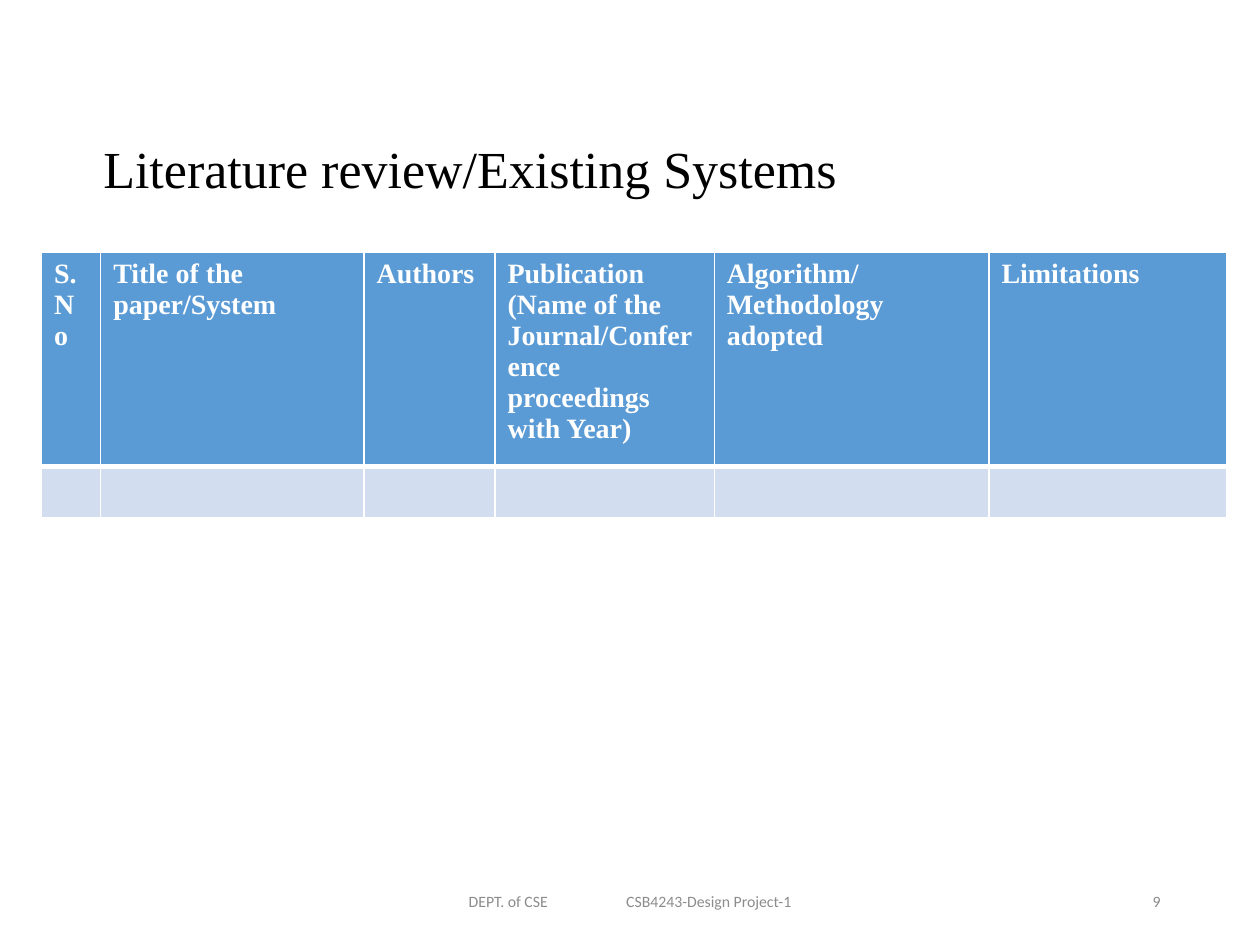
from lxml.etree import SubElement
from pptx import Presentation
from pptx.dml.color import RGBColor
from pptx.enum.text import MSO_ANCHOR as Anchor, PP_ALIGN as Align
from pptx.oxml import parse_xml
from pptx.oxml.ns import nsdecls, qn
from pptx.util import Inches, Pt

COLORS = {
    "title": "000000",
    "header": "5B9BD5",
    "body": "D2DEEF",
    "white": "FFFFFF",
    "footer": "8C8C8C",
    "number": "898989",
}
SERIF, SANS = "Times New Roman", "Calibri"
HEADINGS = [
    ("S.No", 0.47),
    ("Title of the paper/System", 2.09),
    ("Authors", 1.04),
    ("Publication (Name of the Journal/Conference proceedings with Year)", 1.74),
    ("Algorithm/Methodology adopted", 2.18),
    ("Limitations", 1.89),
]
ROW_HEIGHTS = [1.7, 0.41]


def add_span(para, text, size, font, color, bold=False):
    span = para.add_run()
    span.text = text
    span.font.size = Pt(size)
    span.font.name = font
    span.font.bold = bold
    span.font.color.rgb = RGBColor.from_string(COLORS[color])


def place_title(page, left, top, width, height):
    title = page.shapes.title
    title.left, title.top = Inches(left), Inches(top)
    title.width, title.height = Inches(width), Inches(height)
    frame = title.text_frame
    frame.word_wrap = True
    frame.vertical_anchor = Anchor.MIDDLE
    para = frame.paragraphs[0]
    para.alignment = Align.LEFT
    para.line_spacing = 0.9
    add_span(para, "Literature review/Existing Systems", 29.7, SERIF, "title")


def set_borders(cell, bottom):
    """Draw white cell borders, with the bottom one of its own width in points."""
    properties = cell._tc.get_or_add_tcPr()
    for index, (side, width) in enumerate(zip("LRTB", (1, 1, 1, bottom))):
        properties.insert(index, parse_xml(
            f'<a:ln{side} {nsdecls("a")} w="{Pt(width)}"><a:solidFill>'
            f'<a:srgbClr val="{COLORS["white"]}"/></a:solidFill></a:ln{side}>'))


def add_review_table(page, left, top, width, height):
    table = page.shapes.add_table(
        len(ROW_HEIGHTS), len(HEADINGS),
        Inches(left), Inches(top), Inches(width), Inches(height)).table
    table.horz_banding = False
    for row, row_height in zip(table.rows, ROW_HEIGHTS):
        row.height = Inches(row_height)
    for column, (heading, column_width) in enumerate(HEADINGS):
        table.columns[column].width = Inches(column_width)
        for row, (fill, bottom) in enumerate([("header", 3), ("body", 1)]):
            cell = table.cell(row, column)
            cell.fill.solid()
            cell.fill.fore_color.rgb = RGBColor.from_string(COLORS[fill])
            set_borders(cell, bottom)
        para = table.cell(0, column).text_frame.paragraphs[0]
        add_span(para, heading, 16, SERIF, "white", bold=True)


def add_footer_box(page, left, top, width, height, text, color, align):
    box = page.shapes.add_textbox(
        Inches(left), Inches(top), Inches(width), Inches(height))
    frame = box.text_frame
    frame.word_wrap = True
    frame.vertical_anchor = Anchor.MIDDLE
    para = frame.paragraphs[0]
    para.alignment = align
    add_span(para, text, 9, SANS, color)
    return frame


def add_footer(page, top, height):
    frame = add_footer_box(page, 3.31, top, 3.38, height,
                           "DEPT. of CSE\tCSB4243-Design Project-1",
                           "footer", Align.LEFT)
    frame.margin_left = Inches(0.41)
    frame.margin_right = 0
    tabs = SubElement(frame.paragraphs[0]._p.get_or_add_pPr(), qn("a:tabLst"))
    SubElement(tabs, qn("a:tab"), pos=str(Inches(1.25)), algn="l")
    add_footer_box(page, 7.06, top, 2.25, height, "9", "number", Align.RIGHT)


def main():
    deck = Presentation()
    deck.slide_width, deck.slide_height = Inches(10), Inches(7.5)
    page = deck.slides.add_slide(deck.slide_layouts[5])
    place_title(page, 0.72, 0.64, 8.62, 1.45)
    add_review_table(page, 0.33, 2, 9.42, 2.11)
    add_footer(page, 6.95, 0.4)
    deck.save("out.pptx")


if __name__ == "__main__":
    main()
